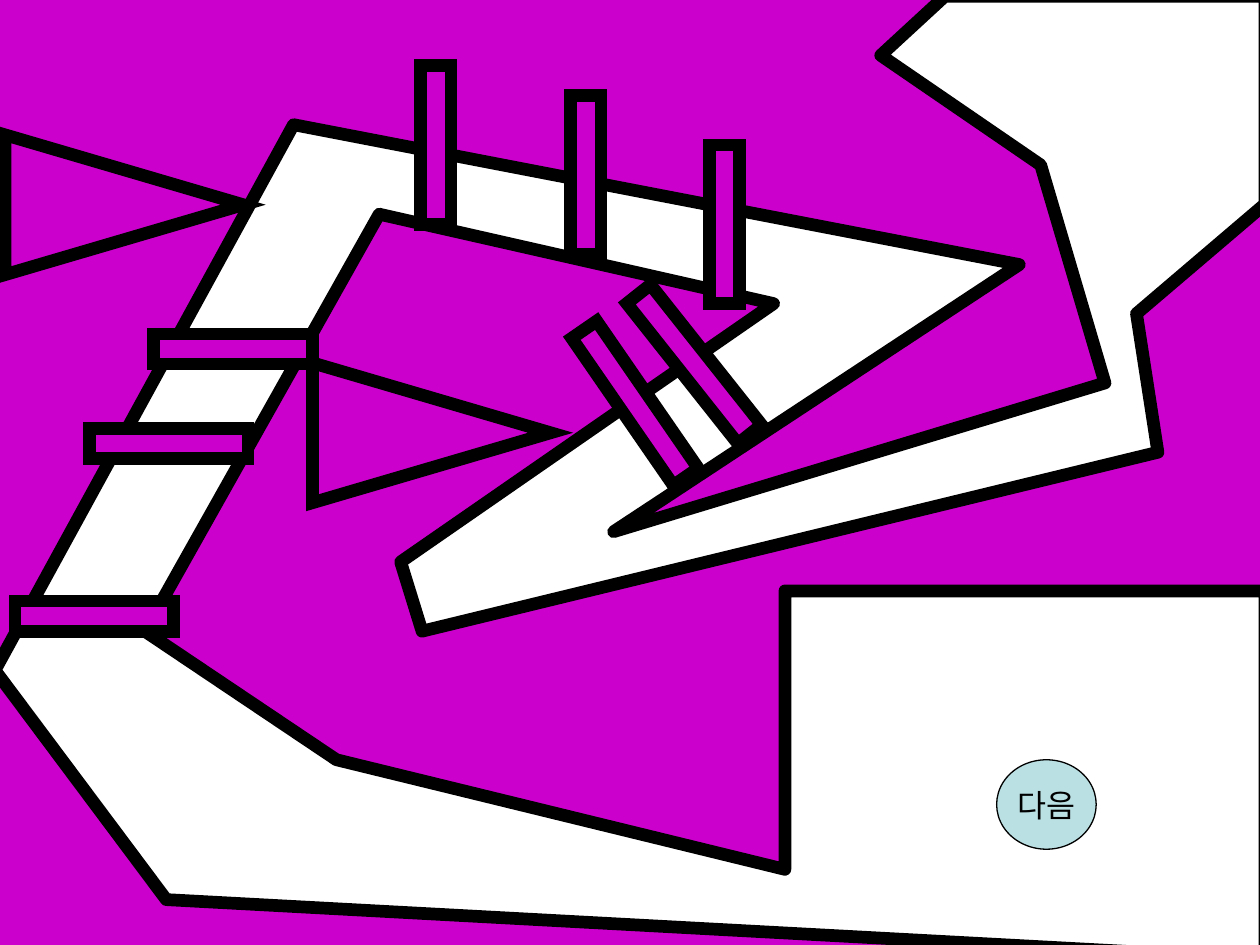
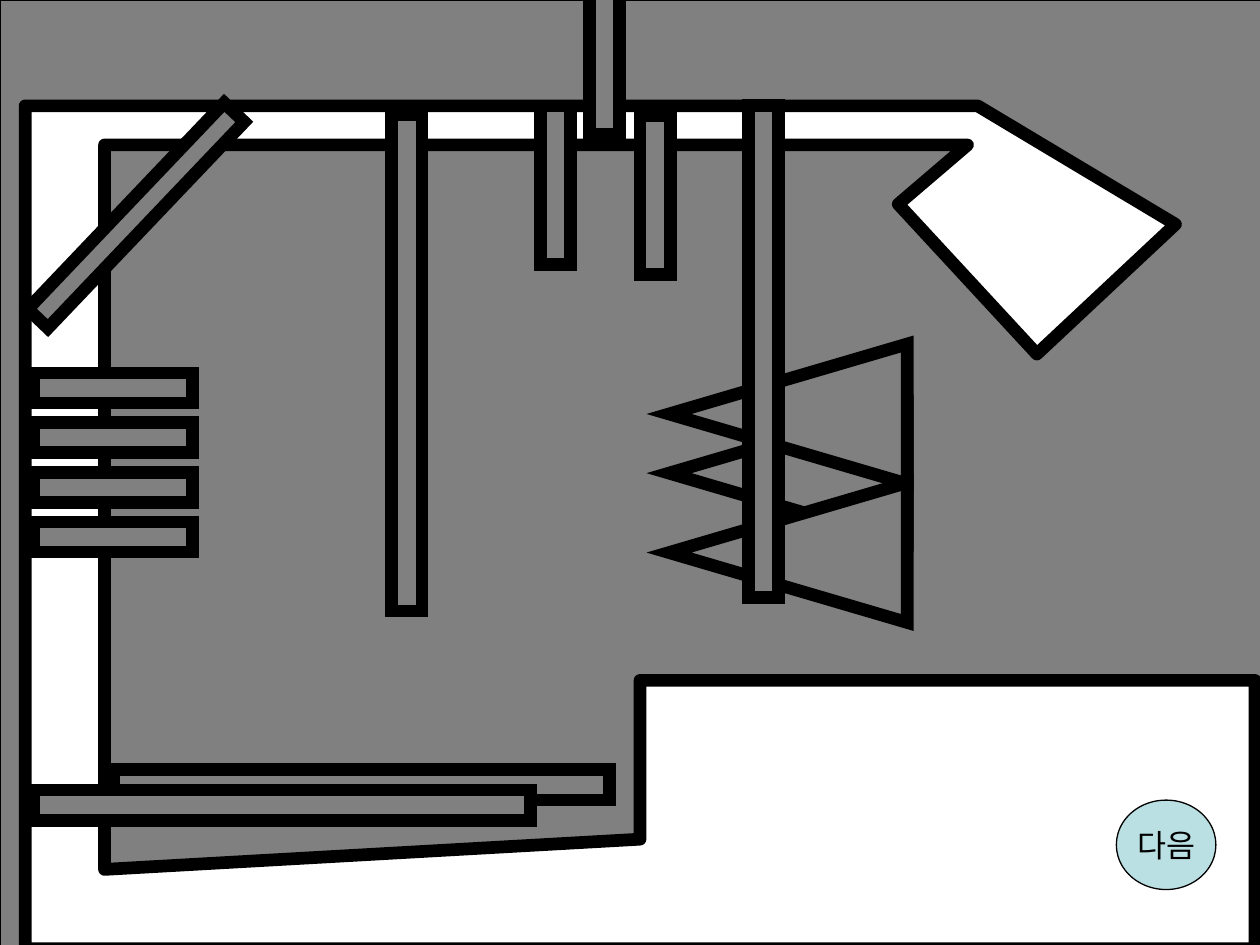
from lxml import etree
from pptx import Presentation
from pptx import util as u
from pptx.dml.color import RGBColor
from pptx.enum import shapes, text
from pptx.oxml import ns

COLORS = {"cave": "CC00CC", "factory": "808080", "track": "FFFFFF",
          "outline": "000000", "button": "BBE0E3", "label": "000000"}
FONT = "Noto Sans CJK KR"
SLIDE_W, SLIDE_H = u.Inches(10), u.Inches(7.5)
COLS = 100                     # square grid: 100 columns by 75 rows
CELL = SLIDE_W / COLS
THICK, THIN = 7.25, 0.75       # outline widths in points
BAR_LENGTH, BAR_DEPTH = 12.6, 2.4
SPIKE_BASE, SPIKE_LENGTH = 11.1, 18.9

# Corners of the white track, in columns and rows
CAVE_TRACK = [
    (62.3, 69), (62.3, 46.9), (100.4, 46.9), (100.4, 76.1), (13.2, 71.4),
    (-0.4, 53.2), (23.3, 9.9), (80.9, 21), (48.7, 42.2), (87.7, 30.4),
    (82.6, 13.1), (69.9, 4.4), (75, -0.3), (100.4, -0.3), (100.4, 16.2),
    (90.2, 24.9), (91.9, 35.9), (33.5, 50.1), (31.8, 44.6), (61.4, 24.1),
    (30.1, 17), (11.5, 50.1), (26.7, 60.3)]
FACTORY_TRACK = [
    (50.8, 66.6), (50.8, 54), (99.6, 54), (99.6, 75.3), (2, 75.3), (2, 8.4),
    (77.6, 8.4), (93.3, 17.8), (82.3, 28.1), (71.3, 16.2), (76.8, 11.5),
    (8.3, 11.5), (8.3, 69)]


def grid(cells):
    return u.Emu(round(cells * CELL))


def paint(shape, fill, width, join="miter"):
    shape.shadow.inherit = False
    shape.fill.solid()
    shape.fill.fore_color.rgb = RGBColor.from_string(COLORS[fill])
    shape.line.color.rgb = RGBColor.from_string(COLORS["outline"])
    shape.line.width = u.Pt(width)
    corner = etree.SubElement(shape.line._get_or_add_ln(), ns.qn(f"a:{join}"))
    if join == "miter":
        corner.set("lim", "800000")


def add_preset(slide, kind, center, size, fill, width=THICK, rotation=0):
    (x, y), (w, h) = center, size
    shape = slide.shapes.add_shape(
        kind, grid(x - w / 2), grid(y - h / 2), grid(w), grid(h))
    shape.rotation = rotation
    paint(shape, fill, width)
    return shape


def add_backdrop(slide, fill, offset):
    w, h = 100.8, 75.8
    add_preset(slide, shapes.MSO_SHAPE.RECTANGLE,
               (offset[0] + w / 2, offset[1] + h / 2), (w, h), fill, THIN)


def add_track(slide, corners):
    points = [(grid(x), grid(y)) for x, y in corners]
    builder = slide.shapes.build_freeform(*points[0])
    builder.add_line_segments(points[1:], close=True)
    paint(builder.convert_to_shape(), "track", THICK, "round")


def add_bar(slide, fill, x, y, rotation=0, length=BAR_LENGTH, depth=BAR_DEPTH):
    add_preset(slide, shapes.MSO_SHAPE.RECTANGLE, (x, y), (length, depth),
               fill, rotation=rotation)


def add_spike(slide, fill, x, y, rotation):
    add_preset(slide, shapes.MSO_SHAPE.ISOSCELES_TRIANGLE, (x, y),
               (SPIKE_BASE, SPIKE_LENGTH), fill, rotation=rotation)


def add_next_button(slide, x, y):
    button = add_preset(slide, shapes.MSO_SHAPE.OVAL, (x, y), (7.9, 7.1),
                        "button", THIN)
    frame = button.text_frame
    frame.word_wrap = False
    frame.vertical_anchor = text.MSO_ANCHOR.MIDDLE
    line = frame.paragraphs[0]
    line.alignment = text.PP_ALIGN.CENTER
    label = line.add_run()
    label.text = "다음"
    label.font.size = u.Pt(18)
    label.font.name = FONT
    label.font.color.rgb = RGBColor.from_string(COLORS["label"])
    east_asian = etree.SubElement(label.font._element, ns.qn("a:ea"))
    east_asian.set("typeface", FONT)


def build_cave(slide):
    add_backdrop(slide, "cave", (-0.4, -0.3))
    add_track(slide, CAVE_TRACK)
    # Posts across the upper passage
    for x, y in [(46.5, 13.9), (34.6, 11.5), (57.5, 17.8)]:
        add_bar(slide, "cave", x, y, 270)
    # Rungs across the left passage
    for x, y in [(13.4, 35.2), (18.5, 27.7), (7.5, 48.9)]:
        add_bar(slide, "cave", x, y)
    # Slanted gates
    for x, y, rotation in [(50.4, 32, 235.4), (55.1, 28.9, 231.6)]:
        add_bar(slide, "cave", x, y, rotation, length=14.2)
    add_next_button(slide, 83.05, 63.85)
    for x, y in [(34.25, 34.35), (9.85, 16.25)]:
        add_spike(slide, "cave", x, y, 90)


def build_factory(slide):
    add_backdrop(slide, "factory", (0, 0))
    add_track(slide, FACTORY_TRACK)
    # Evenly spaced rungs on the left wall
    for rung in range(4):
        add_bar(slide, "factory", 9, 30.8 + 3.94 * rung)
    # Long beams, then the short posts under the ceiling
    add_bar(slide, "factory", 32.3, 28.8, 270, length=39.4)
    add_bar(slide, "factory", 28.7, 62.3, length=39.4)
    for x, y in [(44.1, 14.7), (48, 4.4), (52, 15.5)]:
        add_bar(slide, "factory", x, y, 270)
    for y in (37.55, 32.85, 43.85):
        add_spike(slide, "factory", 62.55, y, 270)
    # Corner brace and the beams in front
    add_bar(slide, "factory", 10.8, 17.1, 313.6, length=22.6, depth=2.2)
    add_bar(slide, "factory", 22.4, 63.9, length=39.4)
    add_bar(slide, "factory", 60.6, 27.9, 90, length=39)
    add_next_button(slide, 92.55, 67.05)


def main():
    deck = Presentation()
    deck.slide_width, deck.slide_height = SLIDE_W, SLIDE_H
    blank = deck.slide_layouts[6]
    for build in (build_cave, build_factory):
        build(deck.slides.add_slide(blank))
    deck.save("out.pptx")


if __name__ == "__main__":
    main()
